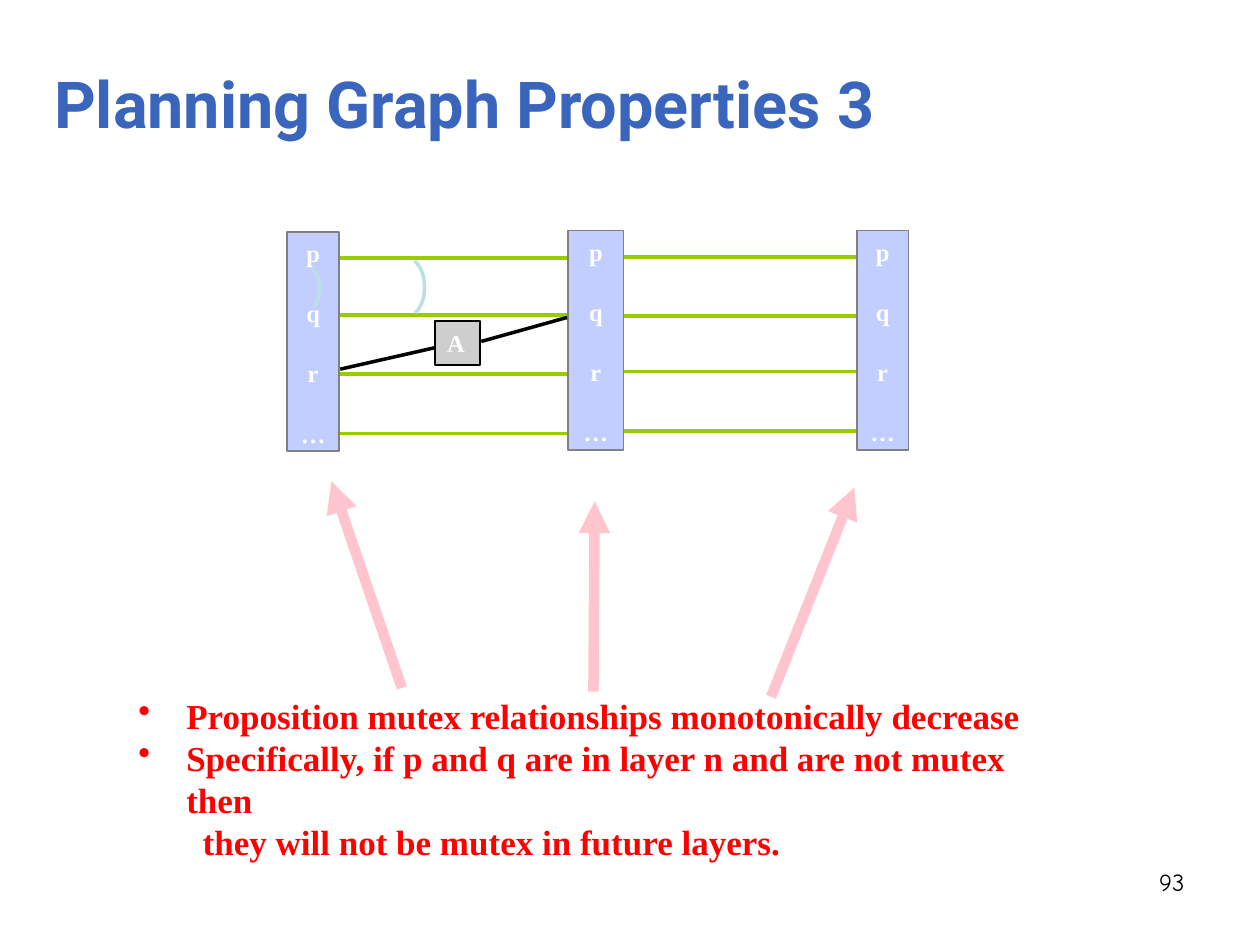
"""Build the slide on monotonically decreasing mutex relationships in planning graphs."""
from lxml.etree import SubElement
from pptx import Presentation
from pptx.dml.color import RGBColor
from pptx.enum.shapes import MSO_CONNECTOR, MSO_SHAPE
from pptx.enum.text import MSO_ANCHOR, PP_ALIGN
from pptx.oxml.ns import qn
from pptx.util import Inches, Pt

BLUE = RGBColor(0x3A, 0x65, 0xBC)
RED = RGBColor(0xFF, 0x00, 0x00)
BLACK = RGBColor(0x00, 0x00, 0x00)
WHITE = RGBColor(0xFF, 0xFF, 0xFF)
GRAY = RGBColor(0x80, 0x80, 0x80)
SILVER = RGBColor(0xCE, 0xCE, 0xCE)
LAVENDER = RGBColor(0xC1, 0xCE, 0xFF)
GREEN = RGBColor(0x99, 0xCC, 0x00)
PINK = RGBColor(0xFF, 0xC5, 0xCF)
TEAL = RGBColor(0xBB, 0xE0, 0xE3)
SERIF = "Times New Roman"

TITLE = "Planning Graph Properties 3"
PAGE_NUMBER = "93"
STATEMENTS = [
    ("Proposition mutex relationships monotonically decrease", True, 0.38),
    ("Specifically, if p and q are in layer n and are not mutex then", True, 0.38),
    ("they will not be mutex in future layers.", False, 0.51),
]
PROPOSITIONS = ["p", "q", "r", "…"]
LAYERS = [(2.28, 1.84, 0.41), (4.51, 1.83, 0.44), (6.8, 1.83, 0.41)]
LAYER_HEIGHT = 1.74
PERSISTENCE_LINES = [
    (2.7, 4.5, [2.05, 2.5, 2.97, 3.44]),
    (4.95, 6.79, [2.04, 2.51, 2.95, 3.42]),
]
ACTION_LINES = [((2.7, 2.93), (3.45, 2.76)), ((3.82, 2.71), (4.5, 2.52))]
POINTERS = [
    ((3.19, 5.46), (2.63, 3.82)),
    ((4.71, 5.49), (4.72, 3.98)),
    ((6.12, 5.53), (6.78, 3.87)),
]
MUTEX_ARCS = [
    ((2.43, 2.29), (0.11, 0.17), (288, 65)),
    ((3.23, 2.28), (0.14, 0.23), (286, 72)),
]


def set_font(paragraph, name, size, color, bold=True):
    font = paragraph.font
    font.name, font.size, font.bold = name, Pt(size), bold
    font.color.rgb = color


def add_line(slide, start, end, color, width, arrow=False):
    line = slide.shapes.add_connector(
        MSO_CONNECTOR.STRAIGHT, *(Inches(value) for value in (*start, *end)))
    line.line.color.rgb = color
    line.line.width = Pt(width)
    properties = line._element.spPr
    if arrow:
        SubElement(properties.find(qn("a:ln")), qn("a:tailEnd"), type="triangle")
    SubElement(properties, qn("a:effectLst"))


def add_box(slide, place, fill, outline, labels, alignment, gap=0):
    box = slide.shapes.add_shape(
        MSO_SHAPE.RECTANGLE, *(Inches(value) for value in place))
    box.shadow.inherit = False
    box.fill.solid()
    box.fill.fore_color.rgb = fill
    box.line.color.rgb = outline
    box.line.width = Pt(1)
    frame = box.text_frame
    frame.word_wrap = False
    frame.vertical_anchor = MSO_ANCHOR.TOP
    frame.text = "\n".join(labels)
    for index, paragraph in enumerate(frame.paragraphs):
        paragraph.alignment = alignment
        paragraph.space_before = Pt(gap if index else 0)
        set_font(paragraph, SERIF, 14, WHITE)


def add_arc(slide, center, radii, angles):
    (x, y), (across, down) = center, radii
    arc = slide.shapes.add_shape(
        MSO_SHAPE.ARC, Inches(x - across), Inches(y - down),
        Inches(2 * across), Inches(2 * down))
    arc.shadow.inherit = False
    arc.fill.background()
    arc.line.color.rgb = TEAL
    arc.line.width = Pt(2)
    for index, angle in enumerate(angles):
        arc.adjustments[index] = angle * 0.6


def add_text(slide, place):
    frame = slide.shapes.add_textbox(*(Inches(value) for value in place)).text_frame
    frame.word_wrap = True
    return frame


def add_title(slide):
    title = slide.shapes.title
    title.left, title.top = Inches(0.33), Inches(0.42)
    title.width, title.height = Inches(9), Inches(0.75)
    frame = title.text_frame
    frame.text = TITLE
    frame.word_wrap = True
    frame.vertical_anchor = MSO_ANCHOR.BOTTOM
    frame.paragraphs[0].alignment = PP_ALIGN.LEFT
    set_font(frame.paragraphs[0], "Roboto", 37, BLUE)


def add_statements(slide):
    frame = add_text(slide, (1, 5.46, 7.65, 1.11))
    frame.text = "\n".join(text for text, _, _ in STATEMENTS)
    for paragraph, (_, bulleted, margin) in zip(frame.paragraphs, STATEMENTS):
        properties = paragraph._p.get_or_add_pPr()
        properties.set("marL", str(Inches(margin)))
        if bulleted:
            properties.set("indent", str(-Inches(margin)))
            SubElement(properties, qn("a:buChar"), char="•")
        set_font(paragraph, SERIF, 20, RED)


def main():
    presentation = Presentation()
    presentation.slide_width, presentation.slide_height = Inches(10), Inches(7.5)
    slide = presentation.slides.add_slide(presentation.slide_layouts[5])
    add_title(slide)
    add_statements(slide)

    for left, top, width in LAYERS:
        add_box(slide, (left, top, width, LAYER_HEIGHT), LAVENDER, GRAY,
                PROPOSITIONS, PP_ALIGN.CENTER, gap=17.6)
    for left, right, heights in PERSISTENCE_LINES:
        for y in heights:
            add_line(slide, (left, y), (right, y), GREEN, 2)
    add_box(slide, (3.45, 2.55, 0.36, 0.35), SILVER, BLACK, ["A"], PP_ALIGN.LEFT)
    for start, end in ACTION_LINES:
        add_line(slide, start, end, BLACK, 2)
    for start, end in POINTERS:
        add_line(slide, start, end, PINK, 6, arrow=True)
    for center, radii, angles in MUTEX_ARCS:
        add_arc(slide, center, radii, angles)

    number = add_text(slide, (7.17, 6.83, 2.33, 0.52))
    number.text = PAGE_NUMBER
    number.paragraphs[0].alignment = PP_ALIGN.RIGHT
    set_font(number.paragraphs[0], "Comic Neue", 14, BLACK, bold=False)
    presentation.save("out.pptx")


if __name__ == "__main__":
    main()
